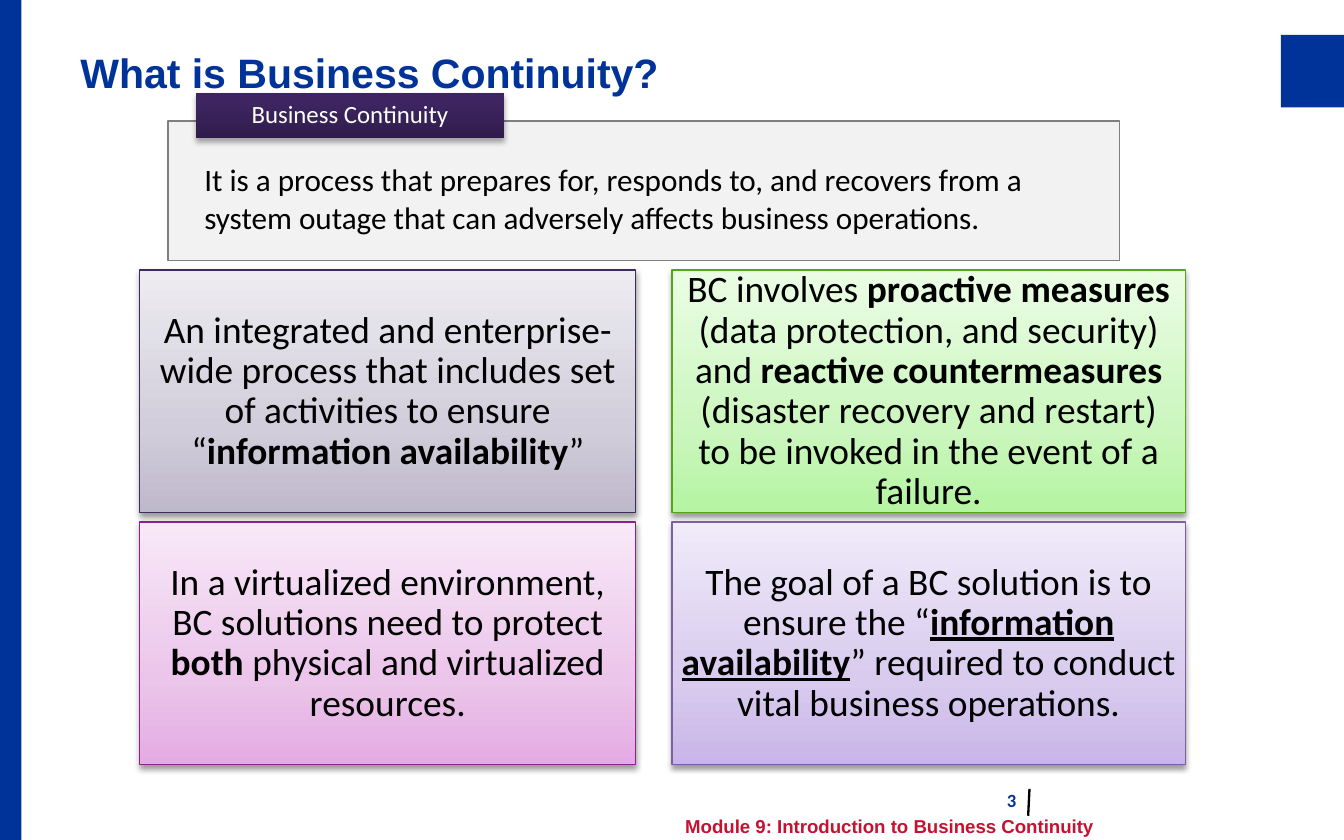
from dataclasses import dataclass
from lxml.etree import SubElement as Sub
from pptx import Presentation
from pptx.dml.color import RGBColor as RGB
from pptx.enum.shapes import MSO_CONNECTOR as Conn, MSO_SHAPE as Form
from pptx.enum.text import MSO_ANCHOR as Anchor, PP_ALIGN as Align
from pptx.oxml.ns import qn
from pptx.util import Inches, Pt


@dataclass(frozen=True)
class Theme:
    """Colours, fonts and type sizes of the deck."""
    blue: str = "003399"
    red: str = "C51230"
    black: str = "000000"
    white: str = "FFFFFF"
    panel: str = "F2F2F2"
    edge: str = "7F7F7F"
    tag: tuple = ((0, "301C4B"), (80, "3E2561"), (100, "3E2463"))
    head: str = "Arial"
    body: str = "Calibri"
    title: float = 22
    card: float = 20
    lead: float = 16.7
    label: float = 13.3
    small: float = 10


T = Theme()

CARDS = [
    ("3F2B5C", ("BEB8CB", "D1CDDA", "EEECF1"),
     [("An integrated and enterprise-wide process that includes set of "
       "activities to ensure “", ""),
      ("information availability", "b"), ("”", "")]),
    ("56A614", ("B5F4A2", "CBF6BE", "EBFDE5"),
     [("BC involves ", ""), ("proactive measures ", "b"),
      ("(data protection, and security) and ", ""),
      ("reactive countermeasures ", "b"),
      ("(disaster recovery and restart) to be invoked in the event of "
       "a failure.", "")]),
    ("8D228C", ("E4ABE3", "EBC5EA", "F8E8F8"),
     [("In a virtualized environment, BC solutions need to protect ", ""),
      ("both", "b"), (" physical and virtualized resources.", "")]),
    ("7D60A0", ("C9B5E8", "D8CBEE", "F0EAF9"),
     [("The goal of a BC solution is to ensure the “", ""),
      ("information availability", "bu"),
      ("” required to conduct vital business operations.", "")]),
]


def rect(slide, box, fill=None, edge=None):
    """Add a flat rectangle with an optional solid fill and thin edge."""
    shape = slide.shapes.add_shape(Form.RECTANGLE, *map(Inches, box))
    shape.shadow.inherit = False
    if fill:
        shape.fill.solid()
        shape.fill.fore_color.rgb = RGB.from_string(fill)
    if edge:
        shape.line.color.rgb = RGB.from_string(edge)
        shape.line.width = Pt(0.75)
    else:
        shape.line.fill.background()
    return shape


def shade(shape, stops):
    """Fill a shape with an upward gradient."""
    shape.fill.gradient()
    shape.fill.gradient_angle = 90
    ramp = shape._element.spPr.find(".//" + qn("a:gsLst"))
    ramp.clear()
    for pos, color in stops:
        stop = Sub(ramp, qn("a:gs"), pos=str(pos * 1000))
        Sub(stop, qn("a:srgbClr"), val=color)


def drop(shape, alpha, dist):
    """Give a shape a soft shadow straight below it."""
    fx = shape._element.spPr.find(qn("a:effectLst"))
    cast = Sub(fx, qn("a:outerShdw"), blurRad=str(Pt(3.1)),
               dist=str(Pt(dist)), dir="5400000", rotWithShape="0")
    color = Sub(cast, qn("a:srgbClr"), val=T.black)
    Sub(color, qn("a:alpha"), val=str(alpha * 1000))


def write(shape, runs, size, color, face=T.body, bold=None,
          align=Align.LEFT, pad=(0.1, 0.05, 0.1, 0.05), lead=None):
    """Write one paragraph of (text, marks) runs into a shape."""
    frame = shape.text_frame
    frame.word_wrap = True
    frame.vertical_anchor = Anchor.MIDDLE
    (frame.margin_left, frame.margin_top,
     frame.margin_right, frame.margin_bottom) = map(Inches, pad)
    para = frame.paragraphs[0]
    para.alignment = align
    para.line_spacing = lead
    font = para.font
    font.size, font.name, font.bold = Pt(size), face, bold
    font.color.rgb = RGB.from_string(color)
    for text, marks in runs:
        run = para.add_run()
        run.text = text
        if "b" in marks:
            run.font.bold = True
        if "u" in marks:
            run.font.underline = True


def label(slide, box, text, size, color, face, align=Align.LEFT):
    """Add a bold one-line text box."""
    shape = slide.shapes.add_textbox(*map(Inches, box))
    write(shape, [(text, "")], size, color, face, True, align)


def frame(slide, wide, high):
    """Draw the blue bar at the left and the block at the right."""
    rect(slide, (wide - 0.47, 0.26, 0.47, 0.54), T.blue)
    rect(slide, (0, 0, 0.16, high), T.blue)


def intro(slide, box):
    """Draw the definition panel with its overlapping tag."""
    x, y, w, h = box
    panel = rect(slide, box, T.panel, T.edge)
    write(panel, [("It is a process that prepares for, responds to, and "
                   "recovers from a system outage that can adversely "
                   "affects business operations.", "")],
          T.lead, T.black, pad=(0.27, 0.21, 0.27, 0.1))
    tag = rect(slide, (x + 0.21, y - 0.21, 2.29, 0.34))
    shade(tag, T.tag)
    drop(tag, 35, 1.8)
    write(tag, [("Business Continuity", "")], T.label, T.white,
          align=Align.CENTER, pad=(0.09, 0, 0.09, 0), lead=0.9)


def grid(slide, box):
    """Lay the cards out in two rows and two columns."""
    x, y, w, h = box
    gap, step = 0.27, 0.07
    left = 3.69
    tall = (h - step) / 2
    cols = [(x, left), (x + left + gap, w - left - gap)]
    for i, (edge, tones, runs) in enumerate(CARDS):
        row, col = divmod(i, 2)
        cx, cw = cols[col]
        card = rect(slide, (cx, y + row * (tall + step), cw, tall), edge=edge)
        shade(card, zip((0, 35, 100), tones))
        drop(card, 38, 1.6)
        write(card, runs, T.card, T.black, align=Align.CENTER,
              pad=(0.07,) * 4, lead=0.9)


def footer(slide, box):
    """Write the page number, its divider and the module name."""
    x, y, w, h = box
    label(slide, (x, y + 0.25, w, 0.21),
          "Module 9: Introduction to Business Continuity",
          T.small, T.red, T.head)
    label(slide, (x - 0.51, y, 3.17, 0.33), "3", T.small, T.blue,
          T.body, Align.RIGHT)
    ends = (x + 2.66, y + 0.08, x + 2.65, y + 0.28)
    rule = slide.shapes.add_connector(Conn.STRAIGHT, *map(Inches, ends))
    rule.line.color.rgb = RGB.from_string(T.black)
    rule.line.width = Pt(1.25)
    Sub(rule._element.spPr, qn("a:effectLst"))


def main():
    """Build the slide and save it."""
    deck = Presentation()
    wide, high = 10, 6.25
    deck.slide_width, deck.slide_height = Inches(wide), Inches(high)
    slide = deck.slides.add_slide(deck.slide_layouts[6])
    frame(slide, wide, high)
    label(slide, (0.5, 0.25, 9.03, 0.57), "What is Business Continuity?",
          T.title, T.blue, T.head)
    grid(slide, (1.04, 2.01, 7.78, 3.68))
    footer(slide, (5, 5.79, 3.82, 0.46))
    intro(slide, (1.25, 0.9, 7.08, 1.04))
    deck.save("out.pptx")


if __name__ == "__main__":
    main()
